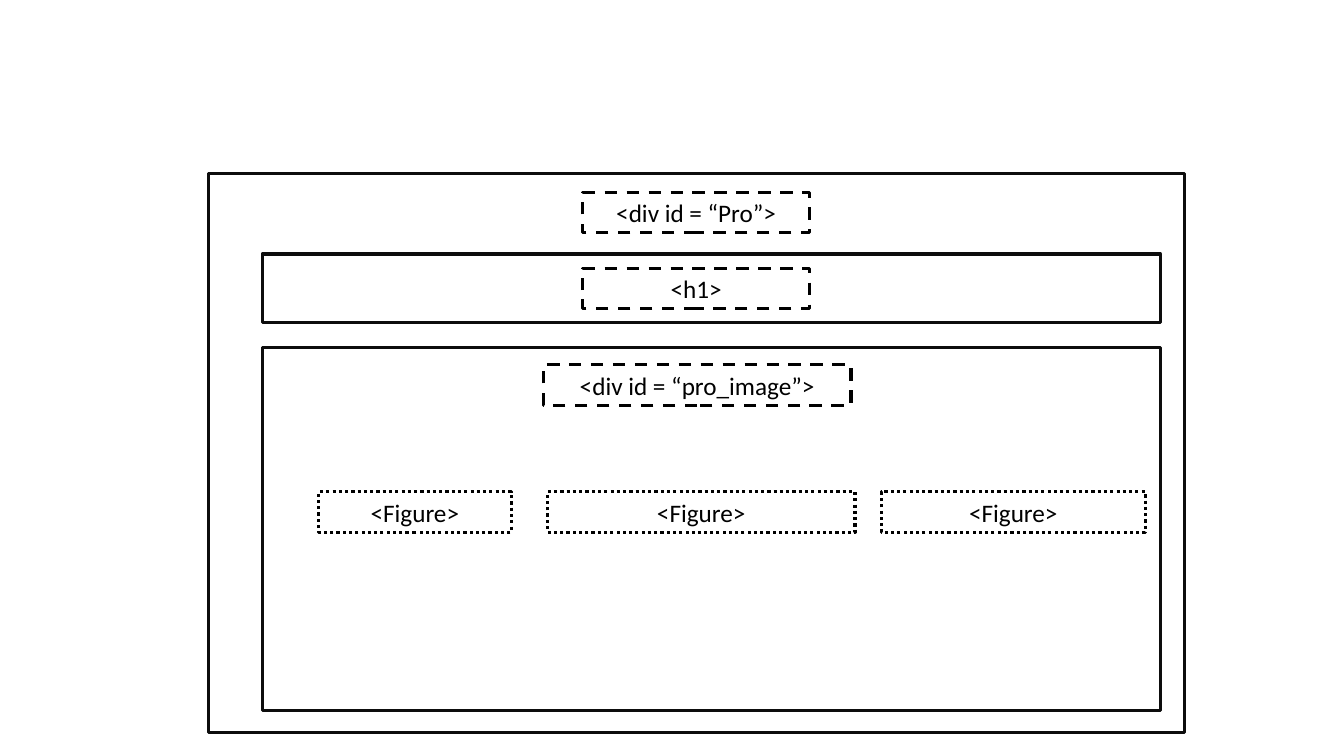
"""Builds a slide that sketches the nested elements of a web page section."""
from pptx import Presentation
from pptx.dml.color import RGBColor
from pptx.enum.dml import MSO_LINE
from pptx.enum.shapes import MSO_SHAPE
from pptx.enum.text import MSO_ANCHOR, MSO_AUTO_SIZE, PP_ALIGN
from pptx.util import Pt

EMU_PER_PX = 9144
BLACK = RGBColor(0x00, 0x00, 0x00)
INK = RGBColor(0x0D, 0x0D, 0x0D)
WHITE = RGBColor(0xFF, 0xFF, 0xFF)

LABEL_HEIGHT = 40
FIGURE_TOP = 488
FRAMES = [(207, 172, 968, 555), (260, 252, 891, 68), (260, 345, 891, 360)]
TAGS = [
    ("<div id = “Pro”>", 578, 191, 225),
    ("<h1>", 578, 266, 225),
    ("<div id = “pro_image”>", 539, 362, 305),
]
FIGURES = [(316, 191), (543, 305), (874, 262)]


def px(length):
    return length * EMU_PER_PX


def add_box(page, left, top, width, height, color):
    box = page.shapes.add_shape(
        MSO_SHAPE.RECTANGLE, px(left), px(top), px(width), px(height))
    box.shadow.inherit = False
    box.line.color.rgb = color
    box.line.width = Pt(2.25)
    return box


def add_frame(page, left, top, width, height):
    box = add_box(page, left, top, width, height, INK)
    box.fill.solid()
    box.fill.fore_color.rgb = WHITE


def write_text(box, text, size=18, font="Calibri", color=BLACK,
               align=PP_ALIGN.CENTER):
    frame = box.text_frame
    frame.word_wrap = True
    frame.auto_size = MSO_AUTO_SIZE.SHAPE_TO_FIT_TEXT
    frame.vertical_anchor = MSO_ANCHOR.TOP
    para = frame.paragraphs[0]
    para.alignment = align
    span = para.add_run()
    span.text = text
    span.font.size = Pt(size)
    span.font.name = font
    span.font.color.rgb = color


def add_label(page, text, left, top, width, dash):
    box = add_box(page, left, top, width, LABEL_HEIGHT, BLACK)
    box.fill.background()
    box.line.dash_style = dash
    write_text(box, text)


def main():
    deck = Presentation()
    deck.slide_width, deck.slide_height = px(1333), px(750)
    page = deck.slides.add_slide(deck.slide_layouts[6])
    for frame in FRAMES:
        add_frame(page, *frame)
    for text, left, top, width in TAGS:
        add_label(page, text, left, top, width, MSO_LINE.DASH)
    for left, width in FIGURES:
        add_label(page, "<Figure>", left, FIGURE_TOP, width, MSO_LINE.ROUND_DOT)
    deck.save("out.pptx")


if __name__ == "__main__":
    main()
